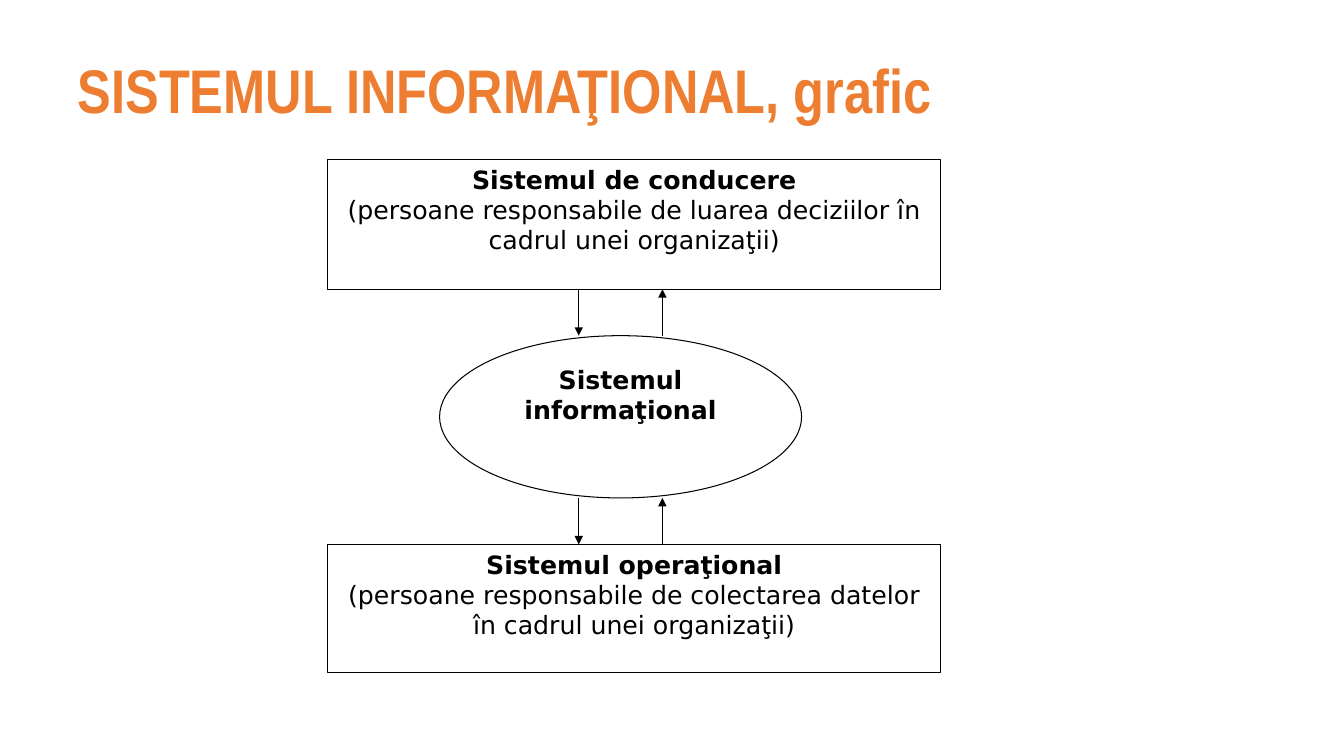
from lxml import etree
from pptx import Presentation
from pptx.dml.color import RGBColor
from pptx.enum.shapes import MSO_CONNECTOR, MSO_SHAPE
from pptx.enum.text import MSO_ANCHOR, MSO_AUTO_SIZE, PP_ALIGN
from pptx.oxml.ns import qn
from pptx.util import Inches, Pt

ORANGE = RGBColor(0xED, 0x7D, 0x31)
BLACK = RGBColor(0x00, 0x00, 0x00)
WHITE = RGBColor(0xFF, 0xFF, 0xFF)
TITLE_FONT = "Arial Narrow"
BODY_FONT = "DejaVu Sans"
LINE_WIDTH = Pt(0.75)


def add_run(paragraph, text, font_name, size, color, bold):
    """Append one formatted run to a paragraph."""
    run = paragraph.add_run()
    run.text = text
    run.font.name = font_name
    run.font.size = Pt(size)
    run.font.color.rgb = color
    run.font.bold = bold


def place(shape, box):
    """Move a shape to a left, top, width, height box in inches."""
    shape.left, shape.top, shape.width, shape.height = map(Inches, box)


def fill_title(title, box, text):
    """Place the title placeholder and write its text."""
    place(title, box)
    frame = title.text_frame
    frame.word_wrap = True
    frame.auto_size = MSO_AUTO_SIZE.NONE
    frame.vertical_anchor = MSO_ANCHOR.MIDDLE
    heading = frame.paragraphs[0]
    heading.alignment = PP_ALIGN.LEFT
    heading.line_spacing = 0.9
    add_run(heading, text, TITLE_FONT, 44, ORANGE, True)


def add_system(shapes, kind, box, name, role=None):
    """Draw one outlined system with its bold name and optional role."""
    system = shapes.add_shape(kind, *map(Inches, box))
    system.shadow.inherit = False
    system.fill.solid()
    system.fill.fore_color.rgb = WHITE
    system.line.color.rgb = BLACK
    system.line.width = LINE_WIDTH
    frame = system.text_frame
    frame.word_wrap = True
    frame.vertical_anchor = MSO_ANCHOR.TOP
    name_line = frame.paragraphs[0]
    name_line.alignment = PP_ALIGN.CENTER
    add_run(name_line, name, BODY_FONT, 18, BLACK, True)
    if role:
        role_line = frame.add_paragraph()
        role_line.alignment = PP_ALIGN.CENTER
        add_run(role_line, role, BODY_FONT, 18, BLACK, False)


def add_flow(shapes, x, start_y, end_y):
    """Draw a vertical arrow pointing at its end."""
    flow = shapes.add_connector(
        MSO_CONNECTOR.STRAIGHT, Inches(x), Inches(start_y), Inches(x), Inches(end_y)
    )
    flow.line.color.rgb = BLACK
    flow.line.width = LINE_WIDTH
    etree.SubElement(flow.line._get_or_add_ln(), qn("a:tailEnd"), type="triangle")
    etree.SubElement(flow._element.spPr, qn("a:effectLst"))


def add_diagram(slide, box):
    """Draw the three systems and the flows between them inside a box."""
    left, top, width, height = box
    management_height, operations_height, gap = 1.29, 1.27, 0.46
    information_top = top + management_height + gap
    operations_top = top + height - operations_height
    information_height = operations_top - gap - information_top
    shapes = slide.shapes.add_group_shape().shapes

    add_system(
        shapes, MSO_SHAPE.RECTANGLE, (left, top, width, management_height),
        "Sistemul de conducere",
        "(persoane responsabile de luarea deciziilor în cadrul unei organizaţii)",
    )
    add_system(
        shapes, MSO_SHAPE.RECTANGLE, (left, operations_top, width, operations_height),
        "Sistemul operaţional",
        "(persoane responsabile de colectarea datelor în cadrul unei organizaţii)",
    )
    add_system(
        shapes, MSO_SHAPE.OVAL, (left + 1.11, information_top, 3.59, information_height),
        "Sistemul informaţional",
    )
    for gap_bottom in (information_top, operations_top):
        add_flow(shapes, left + 2.49, gap_bottom - gap, gap_bottom)
        add_flow(shapes, left + 3.32, gap_bottom, gap_bottom - gap)


def main():
    """Build and save the presentation."""
    presentation = Presentation()
    presentation.slide_width = Inches(13.33)
    presentation.slide_height = Inches(7.5)
    slide = presentation.slides.add_slide(presentation.slide_layouts[5])
    fill_title(slide.shapes.title, (0.67, 0.3, 12, 1.25), "SISTEMUL INFORMAŢIONAL, grafic")
    add_diagram(slide, (3.25, 1.58, 6.08, 5.09))
    presentation.save("out.pptx")


if __name__ == "__main__":
    main()
